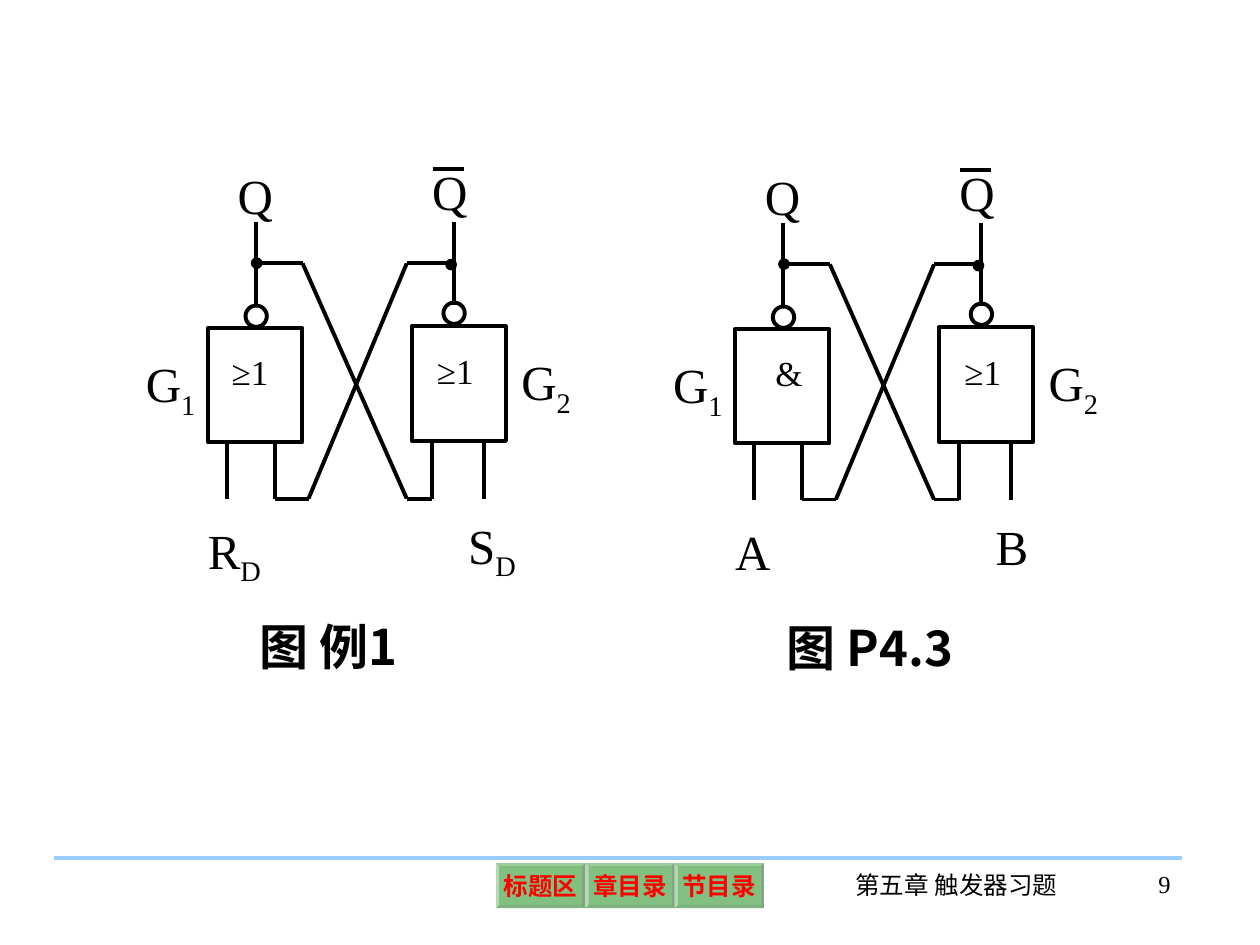
from lxml.etree import SubElement
from pptx import Presentation
from pptx.dml.color import RGBColor
from pptx.enum.shapes import MSO_CONNECTOR as CONN, MSO_SHAPE as SHAPE
from pptx.enum.text import MSO_ANCHOR as ANCHOR, PP_ALIGN as ALIGN
from pptx.oxml.ns import qn
from pptx.util import Cm, Pt

COLORS = {"ink": "000000", "rule": "99CCFF", "button": "008000", "link": "FF0000"}
SERIF, SANS = "Times New Roman", "Noto Sans CJK SC"


def rgb(name):
    return RGBColor.from_string(COLORS[name])


def add_run(p, text, size, color="ink", font=SERIF, bold=False, cjk=False):
    r = p.add_run()
    r.text = text
    r.font.size, r.font.name, r.font.bold = Pt(size), font, bold
    r.font.color.rgb = rgb(color)
    if cjk:
        SubElement(r.font._element, qn("a:ea")).set("typeface", SANS)
    return r


def add_label(s, x, y, w, h, text, size, sub="", align=ALIGN.LEFT, **style):
    tf = s.shapes.add_textbox(Cm(x), Cm(y), Cm(w), Cm(h)).text_frame
    tf.word_wrap = True
    p = tf.paragraphs[0]
    p.alignment = align
    add_run(p, text, size, **style)
    if sub:
        r = add_run(p, sub, size, **style)
        r.font._element.set("baseline", "-25000")


def add_symbol(s, x, y, text, sub=""):
    add_label(s, x, y, 1.8 if sub else 1.3, 1.6 if sub else 1.45, text, 28, sub)


def add_line(s, x1, y1, x2, y2, color="ink"):
    line = s.shapes.add_connector(CONN.STRAIGHT, Cm(x1), Cm(y1), Cm(x2), Cm(y2))
    line.line.color.rgb = rgb(color)
    line.line.width = Pt(2.25)
    SubElement(line._element.spPr, qn("a:effectLst"))


def add_outline(s, kind, x, y, w, h, width=2.25, filled=False):
    sp = s.shapes.add_shape(kind, Cm(x), Cm(y), Cm(w), Cm(h))
    sp.shadow.inherit = False
    if filled:
        sp.fill.solid()
        sp.fill.fore_color.rgb = rgb("ink")
    else:
        sp.fill.background()
    sp.line.color.rgb = rgb("ink")
    sp.line.width = Pt(width)


def add_gate(s, x, y, sign, sign_x, inputs, bottom):
    add_outline(s, SHAPE.RECTANGLE, x, y, 1.9, 2.31)
    add_label(s, x + sign_x, y + 0.34, 1.7, 1.12, sign, 20)
    for dx in inputs:
        add_line(s, x + dx, y + 2.31, x + dx, bottom)


def add_output(s, x, top, bubble_y, dot_x, dot_y):
    add_line(s, x, top, x, top + 1.68)
    add_outline(s, SHAPE.OVAL, x - 0.21, bubble_y, 0.43, 0.43)
    add_outline(s, SHAPE.OVAL, dot_x, dot_y, 0.21, 0.21, 0.75, True)


def draw_latch(s, x, y, signs, sign_xs, input_labels, caption):
    bottom = y + 6.93
    gate_xs, gate_ys = (x + 1.5, x + 5.61), (y + 3.49, y + 3.46)
    taps = ((0.38, 1.35), (0.41, 1.45))
    for gate_x, gate_y, sign, sign_x, inputs in zip(gate_xs, gate_ys, signs, sign_xs, taps):
        add_gate(s, gate_x, gate_y, sign, sign_x, inputs, bottom)

    out_xs = (x + 2.47, x + 6.46)
    add_output(s, out_xs[0], y + 1.35, y + 3.04, x + 2.38, y + 2.08)
    add_output(s, out_xs[1], y + 1.35, y + 2.98, x + 6.3, y + 2.11)

    feed_y = y + 2.19
    left_in, right_in = gate_xs[0] + taps[0][1], gate_xs[1] + taps[1][0]
    feedback = (
        (out_xs[0], x + 3.41, x + 5.51, right_in),
        (out_xs[1], x + 5.51, x + 3.53, left_in),
    )
    for start, bend_top, bend_bottom, end in feedback:
        add_line(s, start, feed_y, bend_top, feed_y)
        add_line(s, bend_top, feed_y, bend_bottom, bottom)
        add_line(s, bend_bottom, bottom, end, bottom)

    add_symbol(s, x + 1.85, y + 0.1, "Q")
    add_symbol(s, x + 5.77, y + 0.01, "Q")
    add_line(s, x + 6.03, y + 0.28, x + 6.66, y + 0.28)
    add_symbol(s, x, y + 3.89, "G", "1")
    add_symbol(s, x + 7.57, y + 3.85, "G", "2")
    add_symbol(s, x + 1.25, y + 7.24, *input_labels[0])
    add_symbol(s, x + 6.5, y + 7.14, *input_labels[1])
    add_label(s, x + 2.29, y + 9.19, 4.42, 1.45, caption, 28, font=SANS, bold=True, cjk=True)


def add_button(s, x, y, w, h, text):
    sp = s.shapes.add_shape(SHAPE.BEVEL, Cm(x), Cm(y), Cm(w), Cm(h))
    sp.adjustments[0] = 0.07
    sp.shadow.inherit = False
    sp.fill.solid()
    sp.fill.fore_color.rgb = rgb("button")
    tint = sp._element.spPr.find(qn("a:solidFill"))[0]
    SubElement(tint, qn("a:alpha")).set("val", "49000")
    sp.line.fill.background()
    tf = sp.text_frame
    tf.word_wrap = False
    tf.vertical_anchor = ANCHOR.MIDDLE
    tf.margin_left = tf.margin_right = tf.margin_top = tf.margin_bottom = 0
    p = tf.paragraphs[0]
    p.alignment = ALIGN.CENTER
    add_run(p, text, 14, "link", bold=True, cjk=True)


def draw_footer(s, x, y, w):
    add_line(s, x, y, x + w, y, "rule")
    for i, text in enumerate(("标题区", "章目录", "节目录")):
        add_button(s, x + 8.91 + 1.8 * i, y + 0.1, 1.8, 0.91, text)
    add_label(s, x + 15.83, y + 0.12, 4.72, 1.27, "第五章 触发器习题", 14,
              align=ALIGN.CENTER, cjk=True)
    add_label(s, x + 20.58, y + 0.1, 2.18, 1.27, "9", 14, align=ALIGN.RIGHT)


def main():
    prs = Presentation()
    prs.slide_width, prs.slide_height = Cm(25.4), Cm(19.05)
    s = prs.slides.add_slide(prs.slide_layouts[6])
    draw_footer(s, 1.09, 17.3, 22.74)
    draw_latch(s, 2.69, 3.12, ("≥1", "≥1"), (0.23, 0.26),
               (("R", "D"), ("S", "D")), "图 例1")
    draw_latch(s, 13.32, 3.14, ("&", "≥1"), (0.56, 0.26),
               (("A",), ("B",)), "图 P4.3")
    prs.save("out.pptx")


if __name__ == "__main__":
    main()
